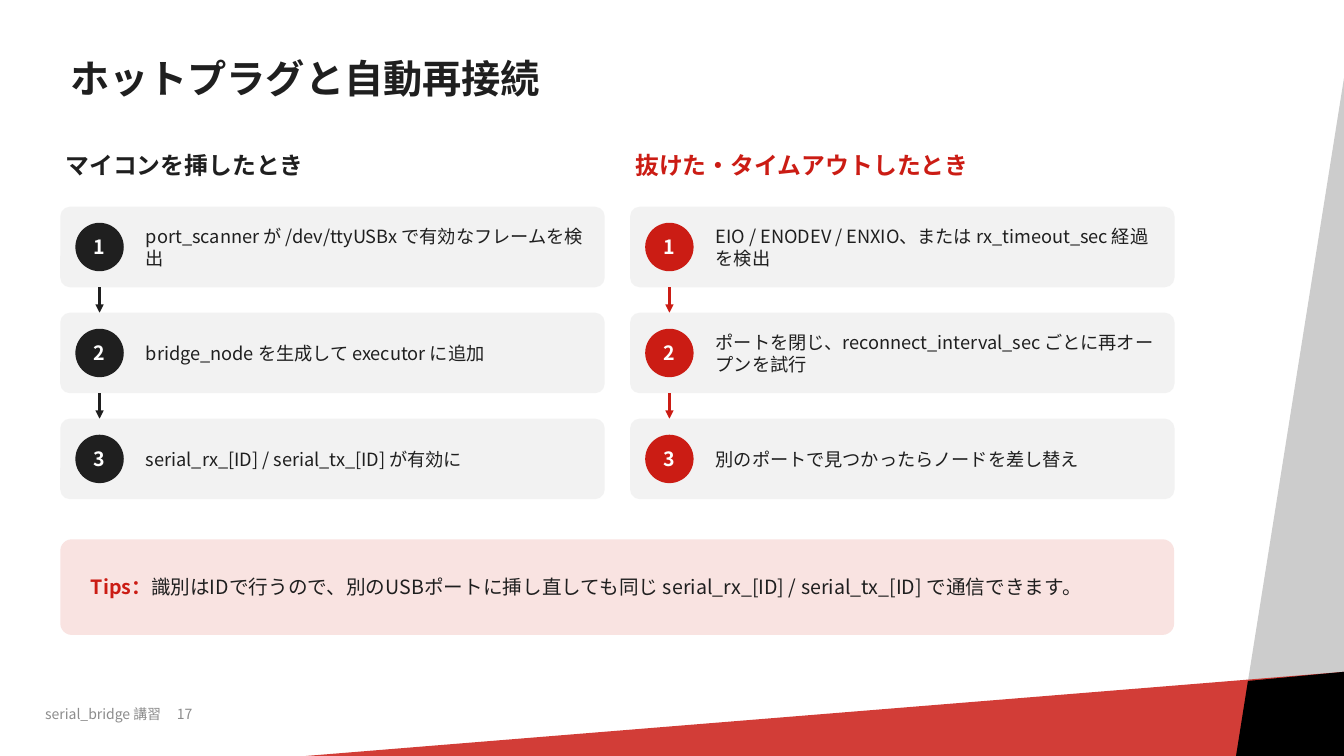
from dataclasses import dataclass

from lxml import etree
from pptx import Presentation
from pptx.dml.color import RGBColor
from pptx.enum.shapes import MSO_CONNECTOR, MSO_SHAPE
from pptx.enum.text import MSO_ANCHOR, MSO_AUTO_SIZE, PP_ALIGN
from pptx.oxml.ns import qn
from pptx.util import Cm, Pt

ROUND = MSO_SHAPE.ROUNDED_RECTANGLE
OVAL = MSO_SHAPE.OVAL
LINE = MSO_CONNECTOR.STRAIGHT
TOP, MID = MSO_ANCHOR.TOP, MSO_ANCHOR.MIDDLE
LEFT, CENTER = PP_ALIGN.LEFT, PP_ALIGN.CENTER


@dataclass(frozen=True)
class Theme:
    font: str = "Noto Sans CJK JP"
    ink: str = "1F1F1F"
    red: str = "CB1C14"
    gray: str = "8C8C8C"
    card: str = "F2F2F2"
    pink: str = "F9E3E1"
    wedge: str = "CCCCCC"
    black: str = "000000"
    white: str = "FFFFFF"
    title: int = 28
    head: int = 17
    tips: int = 14
    body: int = 13
    foot: int = 10


THEME = Theme()
WIDTH, HEIGHT = 33.87, 19.05
PAD = 0.13

COLUMNS = [
    (1.52, "マイコンを挿したとき", THEME.ink, [
        "port_scanner が /dev/ttyUSBx で有効なフレームを検出",
        "bridge_node を生成して executor に追加",
        "serial_rx_[ID] / serial_tx_[ID] が有効に",
    ]),
    (15.88, "抜けた・タイムアウトしたとき", THEME.red, [
        "EIO / ENODEV / ENXIO、または rx_timeout_sec 経過を検出",
        "ポートを閉じ、reconnect_interval_sec ごとに再オープンを試行",
        "別のポートで見つかったらノードを差し替え",
    ]),
]

WEDGES = [
    (THEME.wedge, 100, [(WIDTH, 1.97), (WIDTH, HEIGHT), (31.15, HEIGHT)]),
    (THEME.red, 85, [(7.71, HEIGHT), (WIDTH, 16.93), (WIDTH, HEIGHT)]),
    (THEME.black, 100, [(31.45, 17.16), (WIDTH, 16.93),
                        (WIDTH, HEIGHT), (31.15, HEIGHT)]),
]


def paint(shape, color):
    shape.shadow.inherit = False
    shape.fill.solid()
    shape.fill.fore_color.rgb = RGBColor.from_string(color)
    shape.line.fill.background()


def write(frame, runs, size, pad=PAD, anchor=TOP, align=LEFT, after=4, wrap=True):
    """Fill the frame's first paragraph with (text, color, bold) runs."""
    frame.word_wrap = wrap
    frame.auto_size = MSO_AUTO_SIZE.NONE
    frame.vertical_anchor = anchor
    frame.margin_left = frame.margin_right = Cm(pad)
    frame.margin_top = frame.margin_bottom = Cm(pad)
    para = frame.paragraphs[0]
    para.alignment = align
    para.space_after = Pt(after)
    for text, color, bold in runs:
        run = para.add_run()
        run.text = text
        font = run.font
        font.name = THEME.font
        font.size = Pt(size)
        font.bold = bold
        font.color.rgb = RGBColor.from_string(color)
        east = etree.SubElement(run._r.get_or_add_rPr(), qn("a:ea"))
        east.set("typeface", THEME.font)
    return para


def label(slide, x, y, w, h, runs, size, **style):
    box = slide.shapes.add_textbox(Cm(x), Cm(y), Cm(w), Cm(h))
    return write(box.text_frame, runs, size, **style)


def panel(slide, x, y, w, h, color):
    shape = slide.shapes.add_shape(ROUND, Cm(x), Cm(y), Cm(w), Cm(h))
    shape.adjustments[0] = 0.12
    paint(shape, color)


def arrow(slide, x, top, end, color):
    link = slide.shapes.add_connector(LINE, Cm(x), Cm(top), Cm(x), Cm(end))
    link.line.color.rgb = RGBColor.from_string(color)
    link.line.width = Pt(1.75)
    tail = etree.SubElement(link.line._get_or_add_ln(), qn("a:tailEnd"))
    tail.set("type", "triangle")
    etree.SubElement(link._element.spPr, qn("a:effectLst"))


def decor(slide):
    for color, alpha, points in WEDGES:
        spots = [(Cm(x), Cm(y)) for x, y in points]
        pen = slide.shapes.build_freeform(*spots[0])
        pen.add_line_segments(spots[1:])
        shape = pen.convert_to_shape()
        paint(shape, color)
        if alpha < 100:
            tint = shape._element.spPr.find(qn("a:solidFill"))[0]
            etree.SubElement(tint, qn("a:alpha")).set("val", str(alpha * 1000))


def header(slide, x, y, w, h):
    title = slide.shapes.title
    title.left, title.top, title.width, title.height = Cm(x), Cm(y), Cm(w), Cm(h)
    para = write(title.text_frame, [("ホットプラグと自動再接続", THEME.ink, True)],
                 THEME.title, pad=0.25, anchor=MID)
    para.line_spacing = 0.9


def footer(slide, x, y, w, h):
    para = label(slide, x, y, w, h, [("serial_bridge 講習\t17", THEME.gray, False)],
                 THEME.foot, pad=0)
    tabs = etree.SubElement(para._p.get_or_add_pPr(), qn("a:tabLst"))
    stop = etree.SubElement(tabs, qn("a:tab"))
    stop.set("pos", str(Cm(3.32)))
    stop.set("algn", "l")


def step(slide, x, y, w, h, mark, text, color):
    """Draw one card with its numbered disc."""
    disc = 1.22
    panel(slide, x, y, w, h, THEME.card)
    dot = slide.shapes.add_shape(OVAL, Cm(x + 0.38), Cm(y + (h - disc) / 2),
                                 Cm(disc), Cm(disc))
    paint(dot, color)
    write(dot.text_frame, [(str(mark), THEME.white, True)], THEME.tips,
          pad=0, anchor=MID, align=CENTER, after=0, wrap=False)
    label(slide, x + 2.03, y + PAD, w - 2.29, h - 2 * PAD,
          [(text, THEME.ink, False)], THEME.body, anchor=MID)


def column(slide, x, y, w, head, color, steps):
    tall, gap = 2.03, 0.64
    label(slide, x, y, w, 1.27, [(head, color, True)], THEME.head)
    for i, text in enumerate(steps):
        top = y + 1.53 + i * (tall + gap)
        if i:
            arrow(slide, x + 0.99, top - gap, top, color)
        step(slide, x, top, w, tall, i + 1, text, color)


def tips(slide, x, y, w, h):
    panel(slide, x, y, w, h, THEME.pink)
    runs = [
        ("Tips：", THEME.red, True),
        ("識別はIDで行うので、別のUSBポートに挿し直しても同じ "
         "serial_rx_[ID] / serial_tx_[ID] で通信できます。", THEME.ink, False),
    ]
    label(slide, x + 0.64, y + PAD, w - 1.15, h - 2 * PAD, runs, THEME.tips, anchor=MID)


def main():
    deck = Presentation()
    deck.slide_width, deck.slide_height = Cm(WIDTH), Cm(HEIGHT)
    slide = deck.slides.add_slide(deck.slide_layouts.get_by_name("Title Only"))
    decor(slide)
    header(slide, 1.52, 0.89, 21.84, 2.29)
    footer(slide, 1.14, 17.78, 10.16, 0.76)
    for x, head, color, steps in COLUMNS:
        column(slide, x, 3.68, 13.72, head, color, steps)
    tips(slide, 1.52, 13.59, 28.07, 2.41)
    deck.save("out.pptx")


if __name__ == "__main__":
    main()
